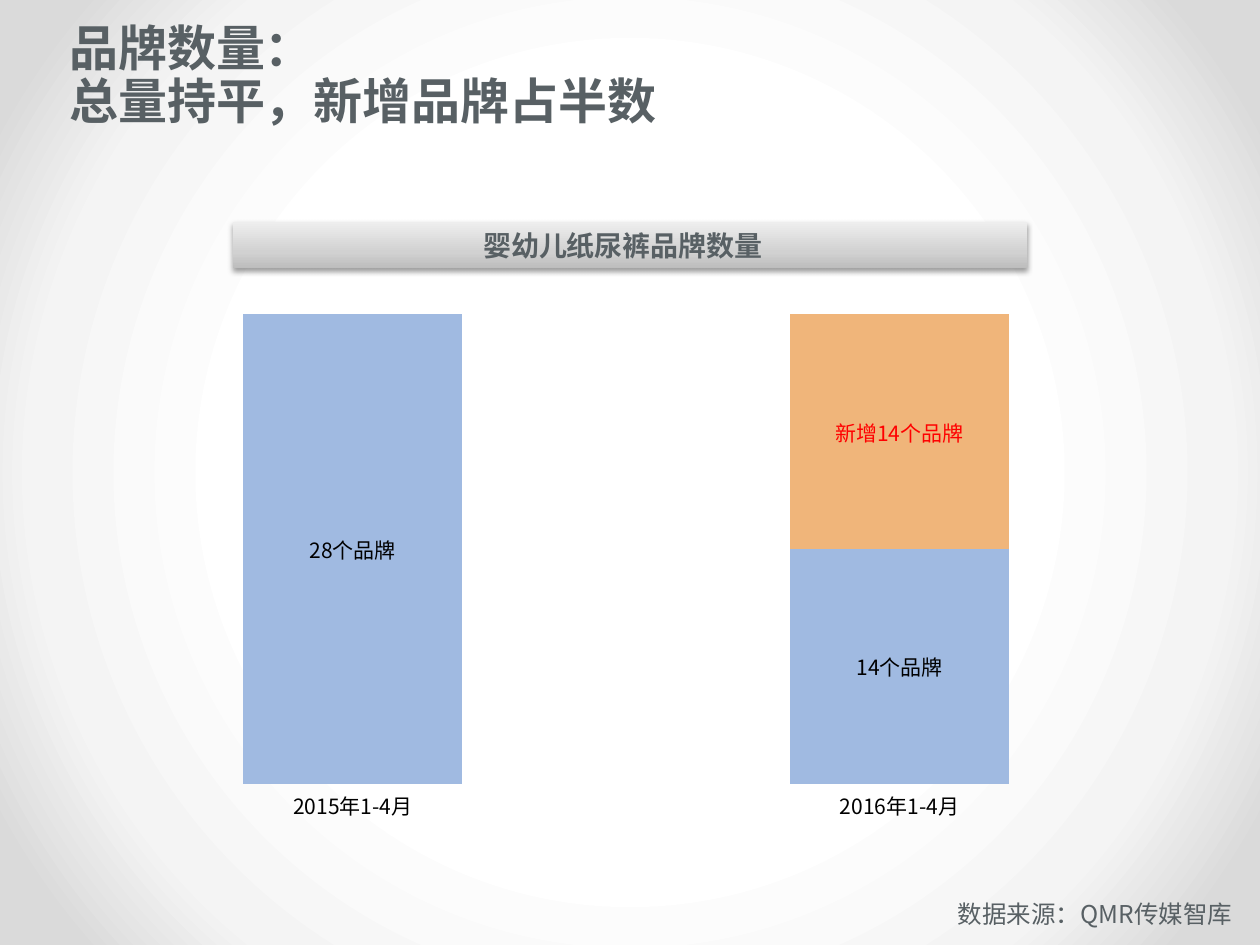
import lxml.etree
import pptx
import pptx.chart.data
import pptx.dml.color
import pptx.enum.chart
import pptx.enum.shapes
import pptx.enum.text
import pptx.oxml
import pptx.oxml.ns
import pptx.util

# Content
TITLE = ["品牌数量：", "总量持平，新增品牌占半数"]
BANNER = "婴幼儿纸尿裤品牌数量"
SOURCE = "数据来源：QMR传媒智库"
PERIODS = ["2015年1-4月", "2016年1-4月"]
SERIES = [
    {"name": "Series 1", "values": [28, 14], "fill": "A0BAE1", "ink": "000000",
     "labels": ["28个品牌", "14个品牌"]},
    {"name": "Series 2", "values": [], "fill": "9C5252", "ink": "000000", "labels": []},
    {"name": "Series 3", "values": [], "fill": "E68422", "ink": "000000", "labels": []},
    {"name": "Series 4", "values": [None, 14], "fill": "F0B57A", "ink": "FF0000",
     "labels": [None, "新增14个品牌"]},
]

# Style
SANS, HEAD, SERIF = "Noto Sans CJK SC", "Montserrat", "TeX Gyre Pagella"
GREY = "586064"
WIDTH, HEIGHT = 10, 7.5
BACKDROP = [(50, "FFFFFF"), (76, "F4F4F4"), (92, "DADADA")]
METAL = [(0, "BDBDBD"), (35, "D1D1D1"), (100, "EEEEEE")]
PLOT = {"x": 0.02, "y": 0.08, "w": 0.96, "h": 0.84}
NS = pptx.oxml.ns.nsdecls("a", "p", "c")
ALIGN = pptx.enum.text.PP_ALIGN


def color(value):
    return pptx.dml.color.RGBColor.from_string(value)


def inches(*lengths):
    return [pptx.util.Inches(length) for length in lengths]


def gradient(stops, direction):
    marks = "".join(f'<a:gs pos="{share * 1000}"><a:srgbClr val="{value}"/></a:gs>'
                    for share, value in stops)
    return f"<a:gradFill {NS}><a:gsLst>{marks}</a:gsLst>{direction}</a:gradFill>"


def style(font, size, ink, face, bold=False):
    font.size, font.bold, font.name = pptx.util.Pt(size), bold, face
    font.color.rgb = color(ink)


def add_span(para, text, size, ink, face, bold=False):
    span = para.add_run()
    span.text = text
    style(span.font, size, ink, face, bold)
    east_asian = lxml.etree.SubElement(span.font._element, pptx.oxml.ns.qn("a:ea"))
    east_asian.set("typeface", face)


deck = pptx.Presentation()
deck.slide_width, deck.slide_height = inches(WIDTH, HEIGHT)
page = deck.slides.add_slide(deck.slide_layouts[5])

# Radial background
radial = ('<a:path path="circle"><a:fillToRect l="50000" t="50000" '
          'r="50000" b="50000"/></a:path>')
page.background.fill.solid()
backdrop = page._element.cSld.bg.bgPr
backdrop.replace(backdrop[0], pptx.oxml.parse_xml(gradient(BACKDROP, radial)))

# Title
title = page.shapes.title
title.left, title.top, title.width, title.height = inches(0.45, 0.13, 8.41, 0.95)
frame = title.text_frame
frame.auto_size = pptx.enum.text.MSO_AUTO_SIZE.NONE
frame.vertical_anchor = pptx.enum.text.MSO_ANCHOR.BOTTOM
for number, line in enumerate(TITLE):
    para = frame.add_paragraph() if number else frame.paragraphs[0]
    para.alignment, para.line_spacing = ALIGN.LEFT, 0.9
    para.space_before = pptx.util.Pt(0)
    add_span(para, line, 28, GREY, HEAD, True)

# Stacked columns
data = pptx.chart.data.CategoryChartData()
data.categories = PERIODS
for entry in SERIES:
    data.add_series(entry["name"], entry["values"])
chart = page.shapes.add_chart(
    pptx.enum.chart.XL_CHART_TYPE.COLUMN_STACKED, *inches(0.45, 2.14, 9.04, 4.44), data).chart
chart.has_legend = chart.has_title = False
style(chart.font, 18, "000000", SERIF)
plot = chart.plots[0]
plot.gap_width, plot.overlap, plot.vary_by_categories = 150, 100, False

value_axis, period_axis = chart.value_axis, chart.category_axis
value_axis.minimum_scale, value_axis.maximum_scale = 0, SERIES[0]["values"][0]
value_axis.has_major_gridlines = value_axis.visible = False
period_axis.major_tick_mark = pptx.enum.chart.XL_TICK_MARK.NONE
period_axis.format.line.fill.background()
style(period_axis.tick_labels.font, 12, "000000", SANS)

for series, entry in zip(plot.series, SERIES):
    series.format.fill.solid()
    series.format.fill.fore_color.rgb = color(entry["fill"])
    series.data_labels.show_value = True
    style(series.data_labels.font, 12, "000000", SANS)
    for index, label in enumerate(entry["labels"]):
        if label:
            para = series.points[index].data_label.text_frame.paragraphs[0]
            add_span(para, label, 12, entry["ink"], SANS)

# Fixed plot area inside the chart
area = chart._chartSpace.chart.plotArea
for old in area.findall(pptx.oxml.ns.qn("c:layout")):
    area.remove(old)
modes = '<c:xMode val="edge"/><c:yMode val="edge"/>'
shares = "".join(f'<c:{side} val="{share}"/>' for side, share in PLOT.items())
area.insert(0, pptx.oxml.parse_xml(
    f'<c:layout {NS}><c:manualLayout><c:layoutTarget val="inner"/>{modes}{shares}'
    "</c:manualLayout></c:layout>"))

# Chart banner, centred on the slide
banner_width = 6.3
banner = page.shapes.add_shape(
    pptx.enum.shapes.MSO_SHAPE.RECTANGLE,
    *inches((WIDTH - banner_width) / 2, 1.76, banner_width, 0.37))
banner.line.fill.background()
banner.fill.background()
banner.shadow.inherit = False
look = banner._element.spPr
look.replace(look.find(pptx.oxml.ns.qn("a:noFill")),
             pptx.oxml.parse_xml(gradient(METAL, '<a:lin ang="16200000" scaled="0"/>')))
look.find(pptx.oxml.ns.qn("a:effectLst")).append(pptx.oxml.parse_xml(
    f'<a:outerShdw {NS} blurRad="{pptx.util.Pt(3.1)}" dist="{pptx.util.Pt(1.6)}" '
    'dir="5400000" rotWithShape="0"><a:srgbClr val="000000"><a:alpha val="38000"/>'
    "</a:srgbClr></a:outerShdw>"))
banner.text_frame.margin_right = pptx.util.Inches(0.21)
para = banner.text_frame.paragraphs[0]
para.alignment = ALIGN.CENTER
add_span(para, BANNER, 16, GREY, SANS, True)

# Source line
box = page.shapes.add_textbox(*inches(6.18, 7.14, 3.7, 0.28))
box.text_frame.word_wrap = True
para = box.text_frame.paragraphs[0]
para.alignment, para.line_spacing = ALIGN.RIGHT, pptx.util.Pt(13)
add_span(para, SOURCE, 14, GREY, SANS)

deck.save("out.pptx")
